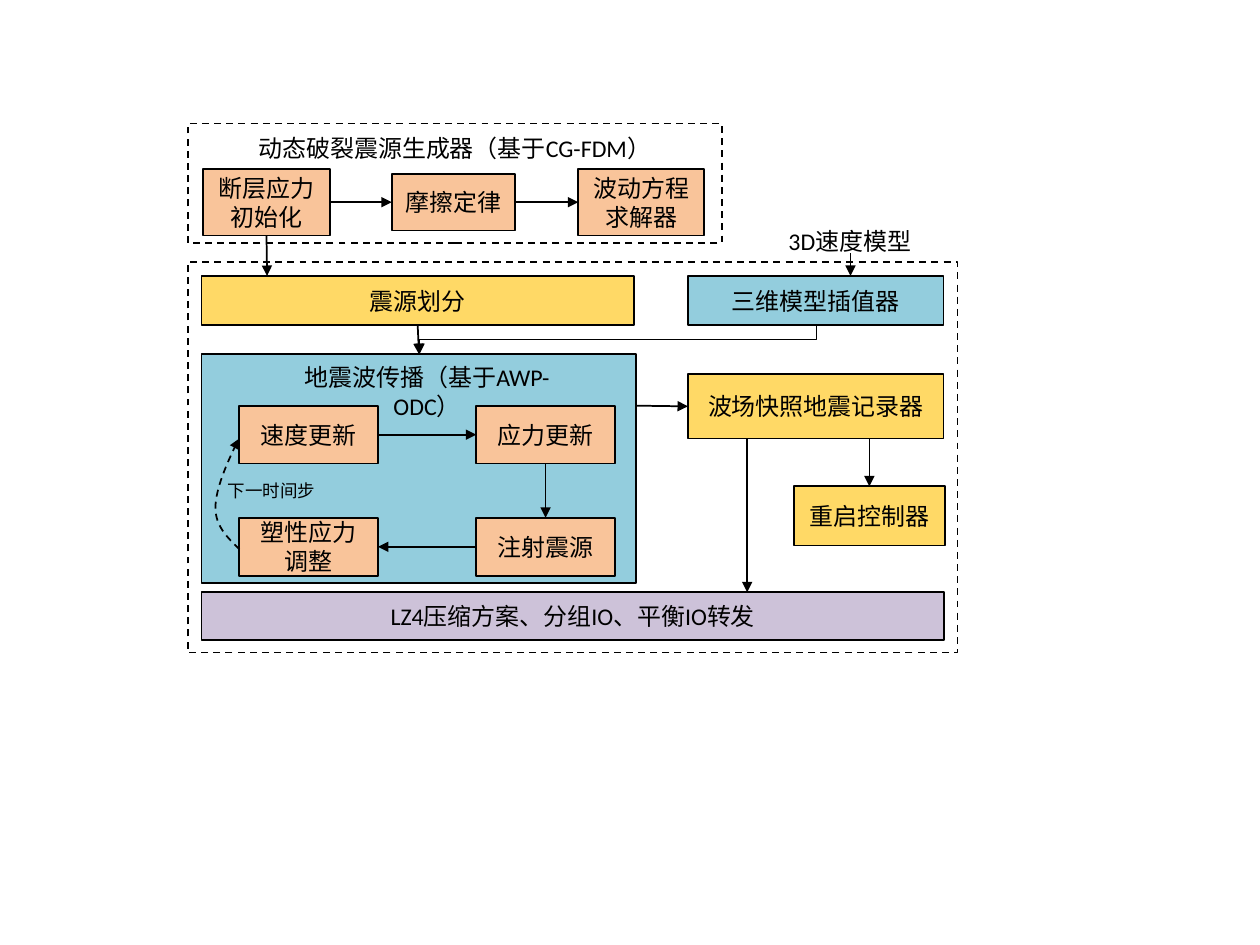
from lxml import etree
from pptx import Presentation
from pptx.dml.color import RGBColor
from pptx.enum.dml import MSO_LINE
from pptx.enum.shapes import MSO_CONNECTOR, MSO_SHAPE
from pptx.enum.text import MSO_ANCHOR, MSO_AUTO_SIZE, PP_ALIGN
from pptx.oxml.ns import qn
from pptx.util import Inches, Pt

BLACK = RGBColor(0x00, 0x00, 0x00)
BLUE = RGBColor(0x93, 0xCD, 0xDD)
ORANGE = RGBColor(0xF9, 0xC4, 0x9A)
YELLOW = RGBColor(0xFF, 0xD9, 0x66)
PURPLE = RGBColor(0xCD, 0xC2, 0xD9)
RECT = MSO_SHAPE.RECTANGLE
STRAIGHT, ELBOW = MSO_CONNECTOR.STRAIGHT, MSO_CONNECTOR.ELBOW
DASH = MSO_LINE.DASH
LEFT, CENTER = PP_ALIGN.LEFT, PP_ALIGN.CENTER
MIDDLE = MSO_ANCHOR.MIDDLE
FIT = MSO_AUTO_SIZE.SHAPE_TO_FIT_TEXT


def write(sp, text, size=13.7, align=CENTER):
    tf = sp.text_frame
    tf.word_wrap = True
    tf.text = text
    for p in tf.paragraphs:
        p.alignment = align
        for r in p.runs:
            r.font.name = "Calibri"
            r.font.size = Pt(size)
            r.font.color.rgb = BLACK


def outline(sp, arrow=False):
    """Black 1 pt line without shadow, with an arrowhead at the end if asked."""
    sp.line.color.rgb = BLACK
    sp.line.width = Pt(1)
    if arrow:
        ln = sp.line._get_or_add_ln()
        etree.SubElement(ln, qn("a:tailEnd"), type="triangle")
        etree.SubElement(sp._element.spPr, qn("a:effectLst"))
    else:
        sp.shadow.inherit = False


prs = Presentation()
prs.slide_width, prs.slide_height = Inches(10), Inches(7.5)
s = prs.slides.add_slide(prs.slide_layouts[6])

# Dashed frames around the two stages
for box in [(1.49, 0.98, 4.24, 0.95), (1.49, 2.08, 6.11, 3.1)]:
    sp = s.shapes.add_shape(RECT, *map(Inches, box))
    sp.fill.background()
    outline(sp)
    sp.line.dash_style = DASH

# Filled boxes, the propagation panel first as it lies behind its steps
boxes = {}
for name, text, color, *box in [
    ("panel", "", BLUE, 1.6, 2.81, 3.45, 1.82),
    ("velocity", "速度更新", ORANGE, 1.9, 3.22, 1.1, 0.46),
    ("stress", "应力更新", ORANGE, 3.78, 3.22, 1.1, 0.46),
    ("inject", "注射震源", ORANGE, 3.78, 4.11, 1.1, 0.46),
    ("plastic", "塑性应力调整", ORANGE, 1.9, 4.11, 1.1, 0.46),
    ("recorder", "波场快照地震记录器", YELLOW, 5.46, 2.97, 2.03, 0.51),
    ("restart", "重启控制器", YELLOW, 6.3, 3.86, 1.2, 0.47),
    ("io", "LZ4压缩方案、分组IO、平衡IO转发", PURPLE, 1.6, 4.7, 5.89, 0.38),
    ("partition", "震源划分", YELLOW, 1.6, 2.19, 3.43, 0.39),
    ("interpolator", "三维模型插值器", BLUE, 5.46, 2.19, 2.03, 0.39),
    ("fault", "断层应力\n初始化", ORANGE, 1.61, 1.34, 1.01, 0.53),
    ("friction", "摩擦定律", ORANGE, 3.11, 1.38, 0.98, 0.45),
    ("solver", "波动方程\n求解器", ORANGE, 4.59, 1.34, 1, 0.53),
]:
    sp = s.shapes.add_shape(RECT, *map(Inches, box))
    sp.fill.solid()
    sp.fill.fore_color.rgb = color
    outline(sp)
    if text:
        write(sp, text)
        sp.text_frame.vertical_anchor = MIDDLE
    boxes[name] = sp

# Headings and labels
for text, size, align, wrap, *box in [
    ("动态破裂震源生成器（基于CG-FDM）", 13.7, CENTER, True, 1.71, 1.01, 3.8, 0.33),
    ("地震波传播（基于AWP-ODC）", 13.7, CENTER, True, 2.07, 2.83, 2.64, 0.33),
    ("3D速度模型", 13.7, CENTER, True, 6.06, 1.75, 1.37, 0.36),
    ("下一时间步", 10, LEFT, False, 1.71, 3.76, 0.9, 0.27),
]:
    sp = s.shapes.add_textbox(*map(Inches, box))
    write(sp, text, size, align)
    sp.text_frame.word_wrap = wrap
    sp.text_frame.auto_size = FIT

# Straight arrows: ends, then the box and side each end is joined to
for ends, begin, end in [
    ((3, 3.45, 3.78, 3.45), ("velocity", 3), ("stress", 1)),
    ((4.33, 3.68, 4.33, 4.11), ("stress", 2), ("inject", 0)),
    ((3.78, 4.34, 3, 4.34), ("inject", 1), ("plastic", 3)),
    ((2.62, 1.6, 3.11, 1.6), ("fault", 3), ("friction", 1)),
    ((4.09, 1.6, 4.59, 1.6), ("friction", 3), ("solver", 1)),
    ((2.12, 1.87, 2.12, 2.19), ("fault", 2), None),
    ((3.32, 2.58, 3.33, 2.81), ("partition", 2), ("panel", 0)),
    ((6.9, 3.48, 6.9, 3.86), None, ("restart", 0)),
    ((5.93, 3.48, 5.93, 4.7), None, None),
    ((5.05, 3.22, 5.46, 3.22), None, ("recorder", 1)),
    ((6.75, 2.01, 6.75, 2.19), None, None),
]:
    line = s.shapes.add_connector(STRAIGHT, *map(Inches, ends))
    if begin:
        line.begin_connect(boxes[begin[0]], begin[1])
    if end:
        line.end_connect(boxes[end[0]], end[1])
    outline(line, arrow=True)

# Elbow from the interpolator to the panel, turned to leave downwards
elbow = s.shapes.add_connector(ELBOW, *map(Inches, (4.79, 1.12, 5.02, 4.27)))
elbow._element.spPr.find(qn("a:xfrm")).set("rot", "5400000")
outline(elbow, arrow=True)

# Dashed loop back to the next time step: two Bezier pieces of three points
points = [(1.81, 4.27), (1.71, 4.18), (1.71, 4.03),
          (1.71, 3.88), (1.86, 3.54), (1.9, 3.48)]
builder = s.shapes.build_freeform(Inches(1.9), Inches(4.36))
builder.add_line_segments([(Inches(x), Inches(y)) for x, y in points], close=False)
loop = builder.convert_to_shape()
loop.fill.background()
outline(loop, arrow=True)
loop.line.dash_style = DASH
curve = loop._element.find(".//" + qn("a:path"))
segments = curve.findall(qn("a:lnTo"))
for i in range(0, len(segments), 3):
    bezier = etree.SubElement(curve, qn("a:cubicBezTo"))
    for segment in segments[i:i + 3]:
        bezier.append(segment[0])
        curve.remove(segment)

prs.save("out.pptx")
